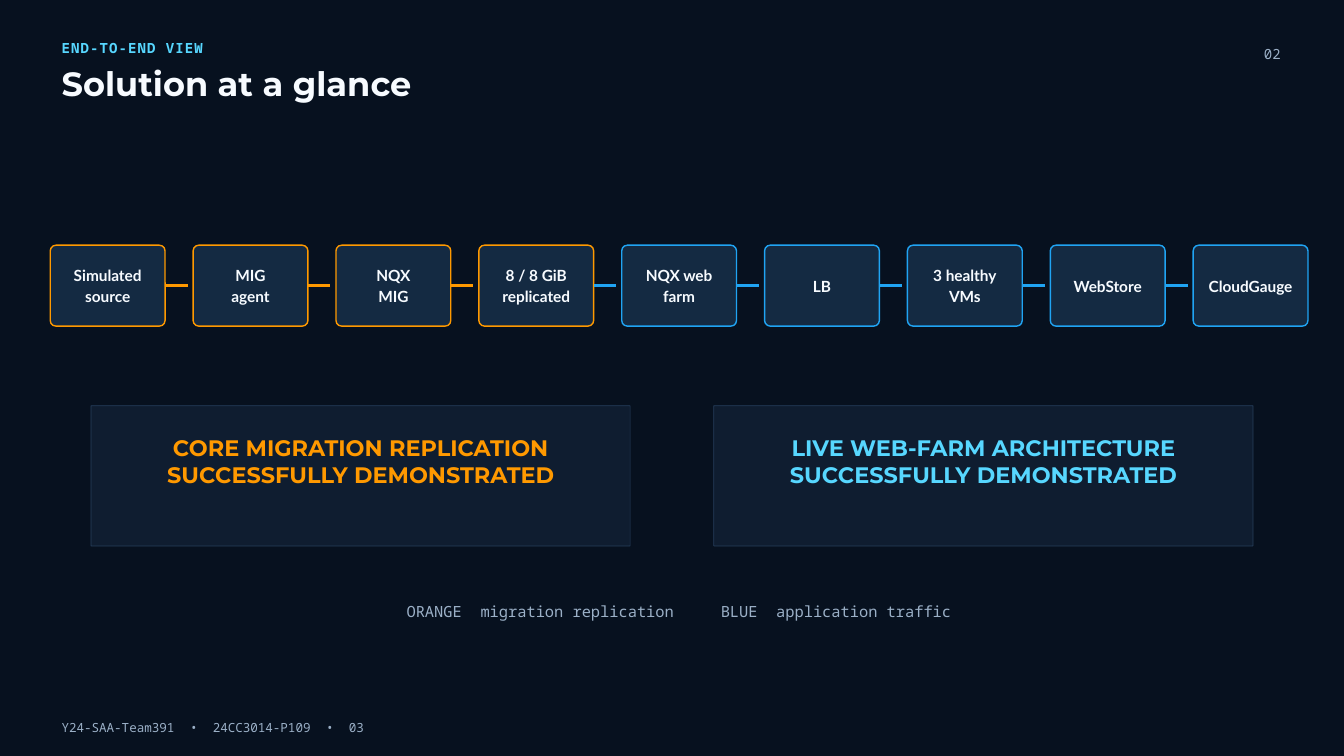
from pptx import Presentation
from pptx.dml.color import RGBColor
from pptx.enum.shapes import MSO_CONNECTOR as Link, MSO_SHAPE as Preset
from pptx.enum.text import MSO_ANCHOR as Anchor, MSO_AUTO_SIZE as AutoSize, PP_ALIGN as Align
from pptx.oxml.ns import qn
from pptx.util import Cm, Pt
from lxml.etree import SubElement

COLORS = {
    "background": "07111F", "white": "F7FBFF", "cyan": "57D7FF", "muted": "9BB0C7",
    "orange": "FF9900", "blue": "20A4F3", "node": "142A42", "card": "101E31", "edge": "29425F",
}
SANS, HEADING, MONO = "Lato", "Montserrat", "Noto Sans Mono"
MONO_ADVANCE = 0.6  # character width as a share of the font size

STAGES = [
    ("Simulated\nsource", "orange"), ("MIG\nagent", "orange"), ("NQX\nMIG", "orange"),
    ("8 / 8 GiB\nreplicated", "orange"), ("NQX web\nfarm", "blue"), ("LB", "blue"),
    ("3 healthy\nVMs", "blue"), ("WebStore", "blue"), ("CloudGauge", "blue"),
]
NODE_LEFT, NODE_TOP, NODE_WIDTH, NODE_HEIGHT = 1.9, 9.27, 4.34, 3.06
NODE_PITCH, LINK_LENGTH = 5.4, 0.85

OUTCOMES = [
    (3.44, "CORE MIGRATION REPLICATION\nSUCCESSFULLY DEMONSTRATED", "orange"),
    (26.98, "LIVE WEB-FARM ARCHITECTURE\nSUCCESSFULLY DEMONSTRATED", "cyan"),
]


def rgb(color):
    return RGBColor.from_string(COLORS[color])


class SlideBuilder:
    """Holds the text style and the slide being built."""

    def __init__(self, slide):
        self.slide = slide
        fill = slide.background.fill
        fill.solid()
        fill.fore_color.rgb = rgb("background")

    def set_text(self, shape, text, font, size, color, spacing, bold=False, align=Align.LEFT,
                 anchor=Anchor.TOP, insets=(0, 0, 0, 0), tracking=0, columns=()):
        """Fill a shape with one paragraph per line; columns are tab stops in characters."""
        frame = shape.text_frame
        frame.word_wrap = True
        frame.auto_size = AutoSize.NONE
        frame.vertical_anchor = anchor
        (frame.margin_left, frame.margin_top,
         frame.margin_right, frame.margin_bottom) = map(Cm, insets)
        for index, line in enumerate(text.split("\n")):
            paragraph = frame.add_paragraph() if index else frame.paragraphs[0]
            paragraph.alignment = align
            paragraph.line_spacing = Pt(spacing)
            paragraph.space_before = Pt(0)
            if columns:
                stops = SubElement(paragraph._p.get_or_add_pPr(), qn("a:tabLst"))
                for column in columns:
                    position = Pt(column * MONO_ADVANCE * size)
                    SubElement(stops, qn("a:tab"), pos=str(position), algn="l")
            run = paragraph.add_run()
            run.text = line
            run.font.name, run.font.size, run.font.bold = font, Pt(size), bold
            run.font.color.rgb = rgb(color)
            if tracking:
                run._r.get_or_add_rPr().set("spc", str(round(tracking * 100)))

    def title(self, text, box):
        title = self.slide.shapes.title
        title.left, title.top, title.width, title.height = map(Cm, box)
        self.set_text(title, text, HEADING, 36, "white", 39.6, bold=True)

    def label(self, text, box, size, color, spacing, **style):
        textbox = self.slide.shapes.add_textbox(*map(Cm, box))
        self.set_text(textbox, text, MONO, size, color, spacing, **style)

    def panel(self, preset, box, fill, edge, width):
        panel = self.slide.shapes.add_shape(preset, *map(Cm, box))
        panel.shadow.inherit = False
        panel.fill.solid()
        panel.fill.fore_color.rgb = rgb(fill)
        panel.line.color.rgb = rgb(edge)
        panel.line.width = Pt(width)
        return panel

    def node(self, text, left, color):
        node = self.panel(Preset.ROUNDED_RECTANGLE, (left, NODE_TOP, NODE_WIDTH, NODE_HEIGHT),
                          "node", color, 1.5)
        node.adjustments[0] = 0.07
        self.set_text(node, text, SANS, 16.5, "white", 23.1, bold=True, align=Align.CENTER,
                      anchor=Anchor.MIDDLE, insets=(0.15, 0.15, 0.15, 0.25))
        return node

    def link(self, node, color):
        """Draw the short dash leaving the right side of a node."""
        start, middle = node.left + node.width, node.top + node.height // 2
        link = self.slide.shapes.add_connector(
            Link.STRAIGHT, start, middle, start + Cm(LINK_LENGTH), middle)
        link.begin_connect(node, 3)
        link.line.color.rgb = rgb(color)
        link.line.width = Pt(3.75)
        SubElement(link._element.spPr, qn("a:effectLst"))

    def card(self, text, left, color):
        card = self.panel(Preset.RECTANGLE, (left, 15.34, 20.38, 5.3), "card", "edge", 0.75)
        for solid in card._element.spPr.iter(qn("a:srgbClr")):
            SubElement(solid, qn("a:alpha"), val="96000")
        self.set_text(card, text, HEADING, 24, color, 28.8, bold=True, align=Align.CENTER,
                      insets=(1.06, 1.09, 1.06, 0))


def main():
    deck = Presentation()
    deck.slide_width, deck.slide_height = Cm(50.8), Cm(28.58)
    builder = SlideBuilder(deck.slides.add_slide(deck.slide_layouts[5]))

    builder.label("END-TO-END VIEW", (2.33, 1.37, 18.52, 0.69), 15, "cyan", 21,
                  bold=True, tracking=1.2)
    builder.title("Solution at a glance", (2.33, 2.49, 37.57, 1.42))
    builder.label("02", (44.7, 1.63, 3.71, 0.69), 15, "muted", 21, align=Align.RIGHT)

    for index, (stage, color) in enumerate(STAGES):
        node = builder.node(stage, NODE_LEFT + index * NODE_PITCH, color)
        if index + 1 < len(STAGES):
            next_color = STAGES[index + 1][1]
            builder.link(node, next_color)

    for left, outcome, color in OUTCOMES:
        builder.card(outcome, left, color)

    builder.label("ORANGE\tmigration replication\tBLUE\tapplication traffic",
                  (15.37, 22.66, 21.16, 0.79), 16.5, "muted", 23.1, columns=(8, 34, 40))
    builder.label("Y24-SAA-Team391\t•\t24CC3014-P109\t•\t03",
                  (2.33, 27.13, 19.05, 0.64), 13.5, "muted", 18.9, columns=(17, 20, 35, 38))

    deck.save("out.pptx")


if __name__ == "__main__":
    main()
